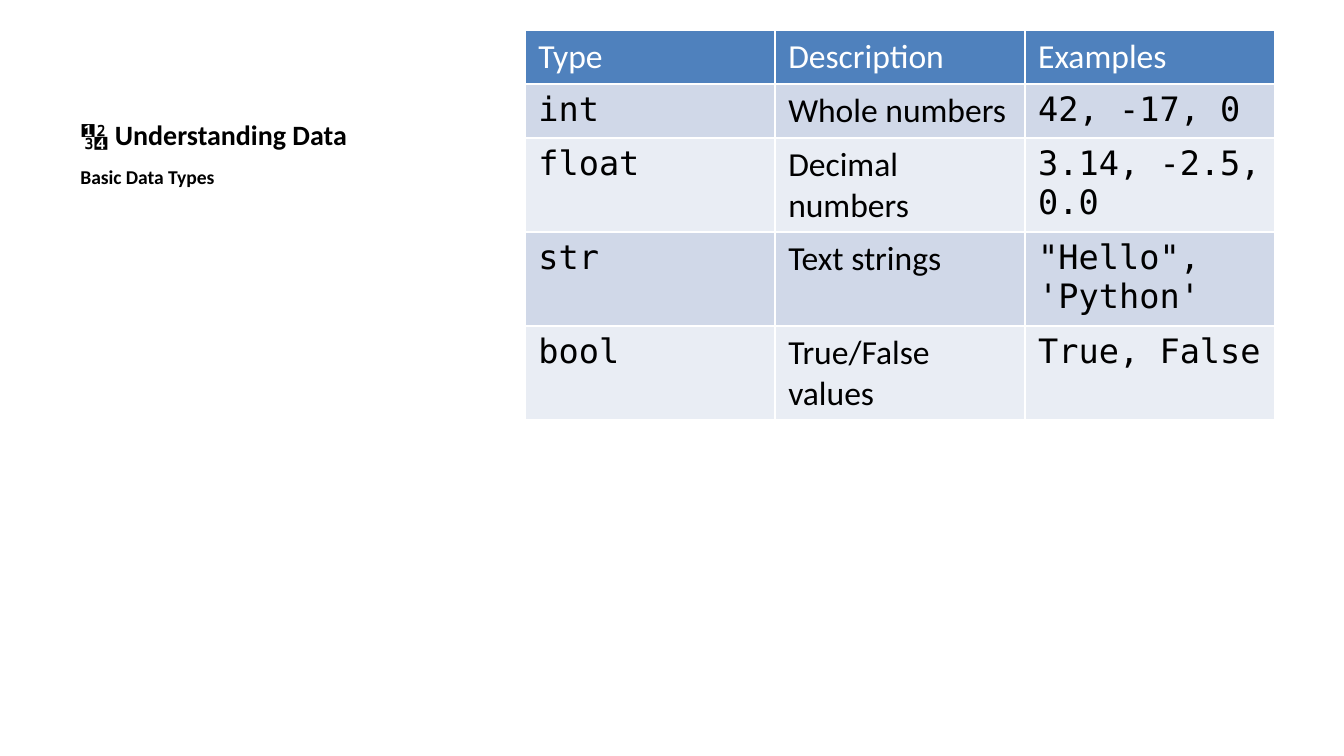
from pptx import Presentation
from pptx.dml.color import RGBColor
from pptx.enum.text import MSO_ANCHOR, MSO_AUTO_SIZE, PP_ALIGN
from pptx.util import Cm, Pt

BLACK = RGBColor(0x00, 0x00, 0x00)
WHITE = RGBColor(0xFF, 0xFF, 0xFF)
HEADER_BLUE = RGBColor(0x4F, 0x81, 0xBD)
BAND_DARK = RGBColor(0xD0, 0xD8, 0xE8)
BAND_LIGHT = RGBColor(0xE9, 0xED, 0xF4)

TEXT_FONT = "Calibri"
CODE_FONT = "DejaVu Sans Mono"

LEFT_COLUMN = 1.27
LEFT_WIDTH = 8.36
TOP = 0.57

DATA_TYPES = [
    ("Type", "Description", "Examples"),
    ("int", "Whole numbers", "42, -17, 0"),
    ("float", "Decimal numbers", "3.14, -2.5, 0.0"),
    ("str", "Text strings", "\"Hello\", 'Python'"),
    ("bool", "True/False values", "True, False"),
]


class SlideBuilder:
    def __init__(self, page):
        self.page = page

    def add_span(self, para, text, size, color=BLACK, font=TEXT_FONT, bold=False):
        span = para.add_run()
        span.text = text
        span.font.name = font
        span.font.size = Pt(size)
        span.font.bold = bold
        span.font.color.rgb = color

    def title(self, text, left, top, width, height):
        box = self.page.shapes.title
        box.left, box.top = Cm(left), Cm(top)
        box.width, box.height = Cm(width), Cm(height)
        frame = box.text_frame
        frame.auto_size = MSO_AUTO_SIZE.NONE
        frame.vertical_anchor = MSO_ANCHOR.BOTTOM
        para = frame.paragraphs[0]
        para.alignment = PP_ALIGN.LEFT
        self.add_span(para, text, 15, bold=True)

    def subtitle(self, text, left, top, width, height):
        box = self.page.shapes.add_textbox(Cm(left), Cm(top), Cm(width), Cm(height))
        frame = box.text_frame
        frame.word_wrap = True
        para = frame.paragraphs[0]
        para.space_before = Pt(30)
        self.add_span(para, text, 10.5, bold=True)

    def table(self, rows, left, top, width, row_height):
        """Add a banded table whose rows grow to fit wrapped text."""
        table = self.page.shapes.add_table(
            len(rows), len(rows[0]), Cm(left), Cm(top),
            Cm(width), Cm(row_height * len(rows)),
        ).table
        for row, texts in enumerate(rows):
            for column, text in enumerate(texts):
                is_header = row == 0
                is_code = not is_header and column != 1
                band = BAND_DARK if row % 2 else BAND_LIGHT
                cell = table.cell(row, column)
                cell.fill.solid()
                cell.fill.fore_color.rgb = HEADER_BLUE if is_header else band
                self.add_span(
                    cell.text_frame.paragraphs[0], text, 18,
                    color=WHITE if is_header else BLACK,
                    font=CODE_FONT if is_code else TEXT_FONT,
                )


def main():
    deck = Presentation()
    deck.slide_width, deck.slide_height = Cm(25.4), Cm(14.29)
    title_only = deck.slide_layouts[5]
    builder = SlideBuilder(deck.slides.add_slide(title_only))
    builder.title("🔢 Understanding Data", LEFT_COLUMN, TOP, LEFT_WIDTH, 2.42)
    builder.subtitle("Basic Data Types", LEFT_COLUMN, 2.99, LEFT_WIDTH, 9.78)
    builder.table(DATA_TYPES, 9.92, TOP, 14.17, 1)
    deck.save("out.pptx")


if __name__ == "__main__":
    main()
